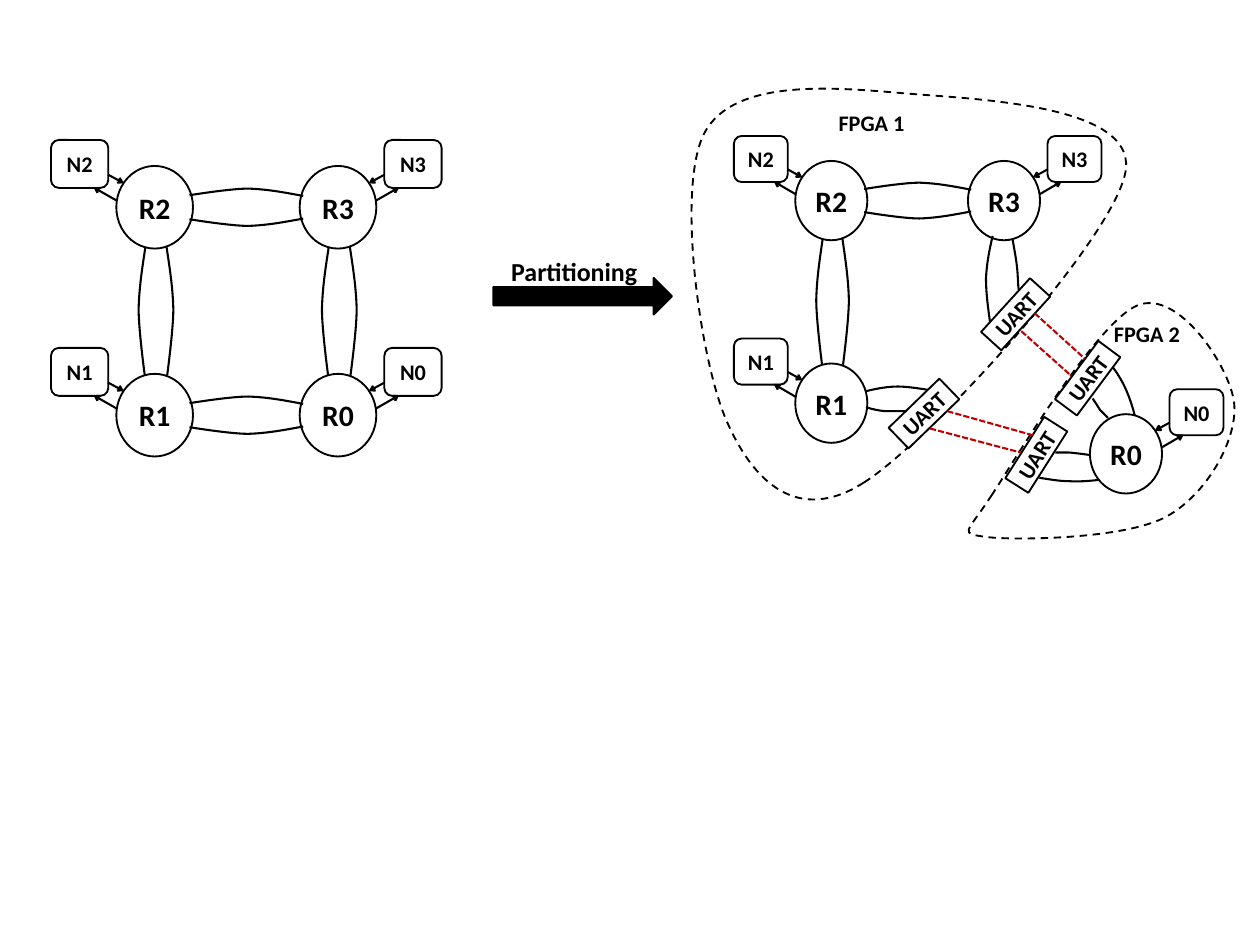
from dataclasses import dataclass
from typing import NamedTuple

from lxml.etree import SubElement
from pptx import Presentation
from pptx.dml.color import RGBColor
from pptx.enum.dml import MSO_LINE_DASH_STYLE as Dash
from pptx.enum.shapes import MSO_CONNECTOR as Link, MSO_SHAPE as Shape
from pptx.enum.text import MSO_ANCHOR as Anchor, PP_ALIGN as Align
from pptx.oxml.ns import qn
from pptx.util import Inches, Pt

COLS, ROWS = 18.9, 14.18


@dataclass(frozen=True)
class Theme:
    font: str = "Calibri"
    ink: RGBColor = RGBColor(0, 0, 0)
    paper: RGBColor = RGBColor(255, 255, 255)
    serial: RGBColor = RGBColor(0xC0, 0, 0)
    small: int = 24
    medium: int = 28
    large: int = 32
    outline: float = 2
    wire: float = 2.25


class Point(NamedTuple):
    col: float
    row: float


class Box(NamedTuple):
    col: float
    row: float
    cols: float
    rows: float


class Scale(NamedTuple):
    x: float
    y: float


class Router(NamedTuple):
    number: int
    center: Point
    side: int
    scale: Scale


class Uart(NamedTuple):
    box: Box
    angle: float


class Label(NamedTuple):
    text: str
    box: Box
    size: int


theme = Theme()
prs = Presentation()
prs.slide_width, prs.slide_height = Inches(COLS), Inches(ROWS)
shapes = prs.slides.add_slide(prs.slide_layouts[6]).shapes


def x(col: float) -> int:
    return round(prs.slide_width * col / COLS)


def y(row: float) -> int:
    return round(prs.slide_height * row / ROWS)


def frame(box: Box) -> tuple[int, int, int, int]:
    return x(box.col), y(box.row), x(box.cols), y(box.rows)


def pen(line, width: float, color: RGBColor = theme.ink, dash=None) -> None:
    line.color.rgb = color
    line.width = Pt(width)
    if dash:
        line.dash_style = dash


def write(sp, text: str, size: int) -> None:
    tf = sp.text_frame
    tf.word_wrap = False
    p = tf.paragraphs[0]
    p.text = text
    p.font.name, p.font.size, p.font.bold = theme.font, Pt(size), True
    p.font.color.rgb = theme.ink


def block(kind: Shape, box: Box, text: str = "", size: int = theme.small,
          fill: RGBColor = theme.paper, angle: float = 0) -> None:
    sp = shapes.add_shape(kind, *frame(box))
    sp.shadow.inherit = False
    sp.fill.solid()
    sp.fill.fore_color.rgb = fill
    pen(sp.line, theme.outline)
    sp.rotation = angle
    if text:
        write(sp, text, size)
        sp.text_frame.vertical_anchor = Anchor.MIDDLE
        sp.text_frame.paragraphs[0].alignment = Align.CENTER


def wire(start: Point, end: Point, color: RGBColor = theme.ink, dash=None, arrow: bool = False) -> None:
    line = shapes.add_connector(Link.STRAIGHT, x(start.col), y(start.row), x(end.col), y(end.row))
    pen(line.line, theme.wire, color, dash)
    props = line.element.spPr
    if arrow:
        SubElement(props.find(qn("a:ln")), qn("a:tailEnd"), type="arrow")
    SubElement(props, qn("a:effectLst"))


def bend(sp) -> None:
    segments = list(sp.element.iter(qn("a:lnTo")))
    for first, second, third in zip(segments[::3], segments[1::3], segments[2::3]):
        first.tag = qn("a:cubicBezTo")
        for segment in (second, third):
            first.append(segment[0])
            segment.getparent().remove(segment)


def curve(knots: list[Point], width: float = theme.wire, dash=None, closed: bool = False) -> None:
    start, *rest = [(x(col), y(row)) for col, row in knots]
    builder = shapes.build_freeform(*start)
    builder.add_line_segments(rest, close=closed)
    sp = builder.convert_to_shape()
    bend(sp)
    sp.shadow.inherit = False
    sp.fill.background()
    pen(sp.line, width, dash=dash)


def router(item: Router) -> None:
    (cx, cy), (sx, sy) = item.center, item.scale

    def at(dx: float, dy: float) -> Point:
        return Point(cx + item.side * dx * sx, cy + dy * sy)

    block(Shape.OVAL, Box(cx - 0.575 * sx, cy - 0.62 * sy, 1.15 * sx, 1.24 * sy),
          f"R{item.number}", theme.large)
    middle = at(1.125, -1.01)
    block(Shape.ROUNDED_RECTANGLE, Box(middle.col - 0.43 * sx, middle.row, 0.86 * sx, 0.72 * sy),
          f"N{item.number}")
    wire(at(0.7, -0.49), at(0.46, -0.36), arrow=True)
    wire(at(0.57, -0.1), at(0.92, -0.3), arrow=True)


BOW = ((0.19, 0.17), (0.29, 0.22), (0.38, 0.27), (0.49, 0.28), (0.59, 0.28), (0.81, 0.18), (0.81, 0.18))


def channel(start: Router, end: Router) -> None:
    (ax, ay), (bx, by) = start.center, end.center
    for sign in (-1, 1):
        if ax == bx:
            knots = [Point(ax + (sign * bow * 0.93 + 0.02) * start.scale.x, ay + t * (by - ay)) for t, bow in BOW]
        else:
            knots = [Point(ax + t * (bx - ax), ay + sign * bow * start.scale.y) for t, bow in BOW]
        curve(knots)


def points(*values: float) -> list[Point]:
    return [Point(*pair) for pair in zip(values[::2], values[1::2])]


def ring(scale: Scale, left: float, right: float, top: float, bottom: float) -> list[Router]:
    return [Router(0, Point(right, bottom), 1, scale), Router(1, Point(left, bottom), -1, scale),
            Router(2, Point(left, top), -1, scale), Router(3, Point(right, top), 1, scale)]


WHOLE, SPLIT = Scale(1, 1), Scale(0.94, 0.96)
r0, r1, r2, r3 = ring(WHOLE, 2.32, 5.07, 3.11, 6.23)
_, s1, s2, s3 = ring(SPLIT, 12.47, 15.06, 3.01, 6.05)
s0 = Router(0, Point(16.89, 6.81), 1, SPLIT)

FPGAS = [
    points(12.96, 7.24, 13.96, 6.61, 16.79, 3.5, 16.89, 2.53, 16.99, 1.56, 14.62, 1.49, 13.56, 1.4,
           12.51, 1.31, 11.01, 1.17, 10.57, 1.99, 10.13, 2.82, 10.51, 5.46, 10.91, 6.34,
           11.3, 7.22, 11.96, 7.88, 12.96, 7.24),
    points(14.87, 7.44, 15.25, 6.86, 16.47, 4.81, 17.07, 4.58, 17.68, 4.34, 18.44, 5.5, 18.51, 6.03,
           18.58, 6.56, 18.12, 7.41, 17.5, 7.75, 16.89, 8.09, 15.24, 8.11, 14.81, 8.06,
           14.37, 8, 14.49, 8.02, 14.87, 7.44),
]
UARTS = [
    Uart(Box(14.69, 4.51, 1.09, 0.41), 312.3),
    Uart(Box(13.33, 5.99, 1.06, 0.43), 315.9),
    Uart(Box(15, 6.62, 1.09, 0.41), 302.4),
    Uart(Box(15.77, 5.47, 1.09, 0.41), 306.7),
]
STUBS = [
    points(12.99, 5.87, 13.15, 5.83, 13.32, 5.8, 13.47, 5.8, 13.63, 5.8, 13.92, 5.85, 13.92, 5.85),
    points(12.99, 6.11, 13.08, 6.14, 13.17, 6.16, 13.27, 6.17, 13.37, 6.17, 13.48, 6.17, 13.6, 6.17),
    points(14.89, 3.54, 14.84, 3.75, 14.8, 3.96, 14.79, 4.18, 14.79, 4.39, 14.82, 4.61, 14.85, 4.83),
    points(15.19, 3.6, 15.22, 3.77, 15.25, 3.93, 15.26, 4.06, 15.27, 4.18, 15.27, 4.27, 15.28, 4.35),
    points(16.7, 5.52, 16.78, 5.63, 16.85, 5.75, 16.9, 5.87, 16.95, 5.99, 16.99, 6.11, 17.02, 6.23),
    points(16.62, 6.27, 16.58, 6.23, 16.54, 6.19, 16.5, 6.15, 16.47, 6.1, 16.43, 6.04, 16.39, 5.98),
    points(15.59, 7.17, 15.73, 7.19, 15.88, 7.22, 16.02, 7.22, 16.17, 7.23, 16.33, 7.22, 16.49, 7.2),
    points(16.36, 6.83, 16.24, 6.81, 16.13, 6.8, 16.04, 6.79, 15.95, 6.79, 15.89, 6.79, 15.83, 6.79),
]
SERIAL_LINKS = [
    points(13.95, 6.43, 15.31, 6.79),
    points(14.21, 6.17, 15.49, 6.53),
    points(15.52, 4.7, 16.27, 5.38),
    points(15.32, 4.97, 16.07, 5.64),
]
LABELS = [
    Label("FPGA 1", Box(12.48, 1.59, 1.31, 0.57), theme.small),
    Label("FPGA 2", Box(16.61, 4.76, 1.31, 0.57), theme.small),
    Label("Partitioning", Box(7.57, 3.78, 2.12, 0.57), theme.medium),
]

for item in (s0, s1, s2, s3, r0, r1, r2, r3):
    router(item)
for start, end in ((s2, s1), (s3, s2), (r2, r1), (r3, r0), (r3, r2), (r0, r1)):
    channel(start, end)
for knots in FPGAS:
    curve(knots, theme.outline, Dash.DASH, closed=True)
for uart in UARTS:
    block(Shape.RECTANGLE, uart.box, "UART", angle=uart.angle)
for knots in STUBS:
    curve(knots)
for start, end in SERIAL_LINKS:
    wire(start, end, theme.serial, Dash.SQUARE_DOT)
block(Shape.RIGHT_ARROW, Box(7.4, 4.17, 2.68, 0.55), fill=theme.ink)
for label in LABELS:
    write(shapes.add_textbox(*frame(label.box)), label.text, label.size)

prs.save("out.pptx")
